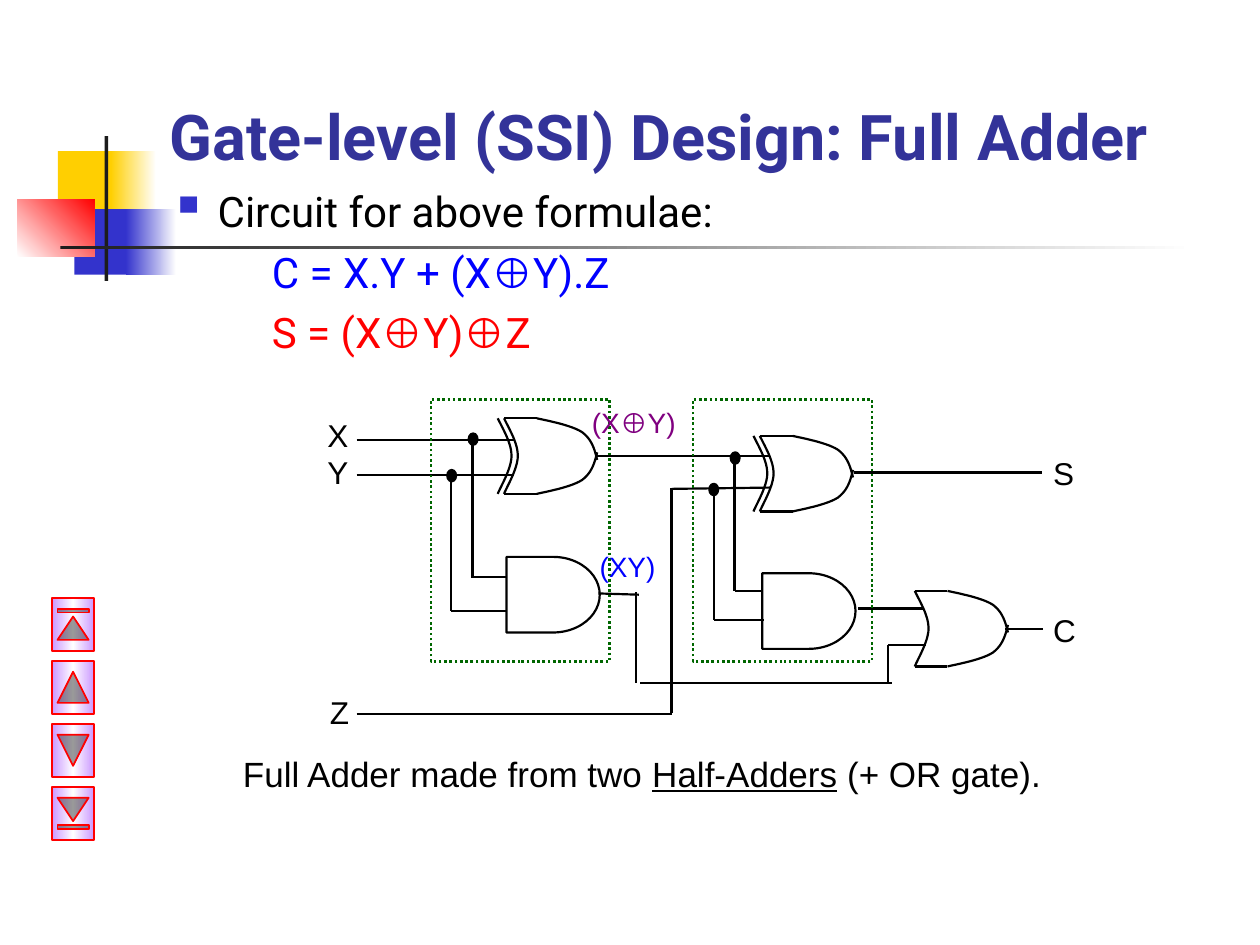
import lxml.etree
import pptx
import pptx.dml.color
import pptx.enum.dml
import pptx.enum.shapes
import pptx.enum.text
import pptx.oxml.ns
import pptx.util

Inches = pptx.util.Inches
Pt = pptx.util.Pt
RGBColor = pptx.dml.color.RGBColor
MSO_SHAPE = pptx.enum.shapes.MSO_SHAPE
qn = pptx.oxml.ns.qn

BLACK = RGBColor(0x00, 0x00, 0x00)
WHITE = RGBColor(0xFF, 0xFF, 0xFF)
CHARCOAL = RGBColor(0x1C, 0x1C, 0x1C)
YELLOW = RGBColor(0xFF, 0xCF, 0x01)
INDIGO = RGBColor(0x33, 0x33, 0xCC)
NAVY = RGBColor(0x33, 0x33, 0x99)
RED = RGBColor(0xFF, 0x00, 0x00)
BLUE = RGBColor(0x00, 0x00, 0xFF)
PURPLE = RGBColor(0x80, 0x00, 0x80)
LILAC = RGBColor(0xCC, 0x99, 0xFF)
GREEN = RGBColor(0x00, 0x66, 0x00)

WIRES = [
    (2.83, 3.49, 4.08, 3.49), (2.83, 3.77, 4.08, 3.77),
    (4.73, 3.62, 6.11, 3.62), (3.75, 4.58, 4.02, 4.58),
    (3.75, 3.5, 3.75, 4.59), (3.58, 3.77, 3.58, 4.85),
    (3.58, 4.85, 4.02, 4.85), (4.75, 4.71, 5.07, 4.72),
    (5.33, 3.88, 6.11, 3.87), (6.78, 3.75, 8.27, 3.75),
    (5.83, 4.69, 6.04, 4.69), (5.83, 3.6, 5.83, 4.69),
    (5.33, 3.87, 5.33, 5.66), (5.08, 5.42, 7.08, 5.42),
    (6.81, 4.83, 7.33, 4.83), (2.83, 5.67, 5.33, 5.67),
    (5.67, 4.92, 6.06, 4.92), (5.05, 5.42, 5.05, 4.7),
    (7.05, 5.12, 7.35, 5.12), (7.05, 5.42, 7.05, 5.12),
    (7.98, 4.99, 8.28, 4.99), (5.67, 3.83, 5.67, 4.92),
]
JUNCTIONS = [(3.55, 3.73), (3.72, 3.44), (5.63, 3.84), (5.8, 3.59)]
BACK_ARC = [(0, 0), (0.05, 0.1), (0.11, 0.2), (0.11, 0.3),
            (0.11, 0.4), (0.02, 0.55), (0, 0.6)]
TOP_ARC = [(0.26, 0), (0.4, 0.03), (0.54, 0.06), (0.62, 0.11),
           (0.7, 0.17), (0.72, 0.25), (0.74, 0.33)]
BOTTOM_ARC = [(x, 0.6 - y) for x, y in TOP_ARC]


def set_gradient(sp, colors, angle):
    sp.fill.gradient()
    sp.fill.gradient_angle = -angle % 360
    stops = sp._element.spPr.find(qn("a:gradFill")).find(qn("a:gsLst"))
    for stop in list(stops):
        stops.remove(stop)
    for i, color in enumerate(colors):
        gs = lxml.etree.SubElement(stops, qn("a:gs"), pos=str(i * 100000 // (len(colors) - 1)))
        lxml.etree.SubElement(gs, qn("a:srgbClr"), val=str(color))


def add_shape(s, kind, box, fill=None, line=None, width=1.25, angle=0):
    sp = s.shapes.add_shape(kind, *map(Inches, box))
    sp.shadow.inherit = False
    if fill is None:
        sp.fill.background()
    elif isinstance(fill, list):
        set_gradient(sp, fill, angle)
    else:
        sp.fill.solid()
        sp.fill.fore_color.rgb = fill
    if line is None:
        sp.line.fill.background()
    else:
        sp.line.color.rgb = line
        sp.line.width = Pt(width)
    return sp


def add_wire(s, x1, y1, x2, y2):
    wire = s.shapes.add_connector(
        pptx.enum.shapes.MSO_CONNECTOR.STRAIGHT, *map(Inches, (x1, y1, x2, y2)))
    wire.line.color.rgb = BLACK
    wire.line.width = Pt(1.25)
    lxml.etree.SubElement(wire._element.spPr, qn("a:effectLst"))


def bezier(p0, p1, p2, p3, t):
    u = 1 - t
    return tuple(u**3 * a + 3 * u * u * t * b + 3 * u * t * t * c + t**3 * d
                 for a, b, c, d in zip(p0, p1, p2, p3))


def add_arc(s, left, top, points, steps=12):
    curve = [points[0]]
    for i in range(0, len(points) - 1, 3):
        curve += [bezier(*points[i:i + 4], k / steps) for k in range(1, steps + 1)]
    curve = [(Inches(left + x), Inches(top + y)) for x, y in curve]
    builder = s.shapes.build_freeform(*curve[0])
    builder.add_line_segments(curve[1:], close=False)
    sp = builder.convert_to_shape()
    sp.shadow.inherit = False
    sp.fill.background()
    sp.line.color.rgb = BLACK
    sp.line.width = Pt(1.25)


def add_or_gate(s, x, y, exclusive=False):
    for arc in (BACK_ARC, TOP_ARC, BOTTOM_ARC):
        add_arc(s, x, y, arc)
    for edge in (y, y + 0.6):
        add_wire(s, x, edge, x + 0.26, edge)
    if exclusive:
        add_arc(s, x - 0.05, y, BACK_ARC)


def add_text(s, box, paragraphs, size, color=BLACK, font="Arial"):
    tf = s.shapes.add_textbox(*map(Inches, box)).text_frame
    tf.word_wrap = True
    for i, runs in enumerate(paragraphs):
        p = tf.paragraphs[0] if i == 0 else tf.add_paragraph()
        for text in runs:
            r = p.add_run()
            r.text = text
            r.font.size = Pt(size)
            r.font.name = "Arial" if text == "⊕" else font
            r.font.color.rgb = color
    return tf


def set_indent(p, margin, indent, bullet=None):
    pPr = p._p.get_or_add_pPr()
    pPr.set("marL", str(Inches(margin)))
    pPr.set("indent", str(Inches(indent)))
    if bullet:
        color = lxml.etree.SubElement(pPr, qn("a:buClr"))
        lxml.etree.SubElement(color, qn("a:srgbClr"), val=str(INDIGO))
        lxml.etree.SubElement(pPr, qn("a:buSzPct"), val="120000")
        lxml.etree.SubElement(pPr, qn("a:buChar"), char=bullet)


def add_decoration(s):
    for box, fill, angle in [
        ((0.46, 1.2, 0.48, 0.52), YELLOW, 0),
        ((0.88, 1.2, 0.36, 0.52), [YELLOW, WHITE], 0),
        ((0.59, 1.66, 0.46, 0.52), INDIGO, 0),
        ((1, 1.66, 0.4, 0.52), [INDIGO, WHITE], 0),
        ((0.14, 1.58, 0.61, 0.46), [WHITE, RED], 315),
        ((0.83, 1.08, 0.03, 1.15), CHARCOAL, 0),
        ((0.48, 1.95, 9, 0.03), [CHARCOAL, WHITE], 0),
    ]:
        add_shape(s, MSO_SHAPE.RECTANGLE, box, fill, angle=angle)


def add_heading(s):
    tf = add_text(s, (1.25, 0.17, 8.5, 1.25),
                  [["Gate-level (SSI) Design: Full Adder"]], 36, NAVY, "Roboto")
    tf.vertical_anchor = pptx.enum.text.MSO_ANCHOR.BOTTOM
    tf.paragraphs[0].runs[0].font.bold = True
    formulae = add_text(s, (1.25, 1.42, 8.33, 1.5), [
        ["Circuit for above formulae:"],
        ["C = X.Y + (X", "⊕", "Y).Z"],
        ["S = (X", "⊕", "Y)", "⊕", "Z"],
    ], 24, font="Roboto").paragraphs
    set_indent(formulae[0], 0.38, -0.38, "▪")
    for p, color in zip(formulae[1:], (BLUE, RED)):
        set_indent(p, 0.81, 0)
        p.space_before = Pt(6)
        for r in p.runs:
            r.font.color.rgb = color


def add_navigation(s):
    for i, kind in enumerate((MSO_SHAPE.ACTION_BUTTON_BEGINNING,
                              MSO_SHAPE.ACTION_BUTTON_BACK_OR_PREVIOUS,
                              MSO_SHAPE.ACTION_BUTTON_FORWARD_OR_NEXT,
                              MSO_SHAPE.ACTION_BUTTON_END)):
        button = add_shape(s, kind, (0.37, 4.79 + 0.5 * i, 0.42, 0.33),
                           [LILAC, WHITE, LILAC], RED, 1, 90)
        button.rotation = 90


def add_circuit(s):
    for box in ((4.02, 4.42, 0.74, 0.6), (6.05, 4.55, 0.74, 0.6)):
        add_shape(s, MSO_SHAPE.FLOWCHART_DELAY, box, line=BLACK)
    for wire in WIRES:
        add_wire(s, *wire)
    for x, y in JUNCTIONS:
        add_shape(s, MSO_SHAPE.OVAL, (x, y, 0.07, 0.09), BLACK, BLACK)
    add_or_gate(s, 4, 3.32, exclusive=True)
    add_or_gate(s, 6.03, 3.46, exclusive=True)
    add_or_gate(s, 7.26, 4.69)
    for x in (3.42, 5.5):
        half_adder = add_shape(s, MSO_SHAPE.RECTANGLE, (x, 3.17, 1.42, 2.08), line=GREEN, width=1.5)
        half_adder.line.dash_style = pptx.enum.dml.MSO_LINE.ROUND_DOT
    add_text(s, (2.5, 3.25, 0.42, 0.6), [["X"], ["Y"]], 18)
    for x, y, label in ((8.26, 3.55, "S"), (8.26, 4.8, "C"), (2.52, 5.45, "Z")):
        add_text(s, (x, y, 0.42, 0.38), [[label]], 18)
    add_text(s, (4.6, 3.17, 0.9, 0.38), [["(X⊕Y)"]], 16, PURPLE)
    add_text(s, (4.66, 4.31, 0.69, 0.38), [["(XY)"]], 16, BLUE)


def main():
    prs = pptx.Presentation()
    prs.slide_width, prs.slide_height = Inches(10), Inches(7.5)
    s = prs.slides.add_slide(prs.slide_layouts[6])
    add_decoration(s)
    add_heading(s)
    caption = add_text(s, (1.83, 5.92, 6.67, 0.58), [
        ["Full Adder made from two ", "Half-Adders", " (+ OR gate)."]], 20)
    caption.paragraphs[0].runs[1].font.underline = True
    add_navigation(s)
    add_circuit(s)
    prs.save("out.pptx")


if __name__ == "__main__":
    main()
